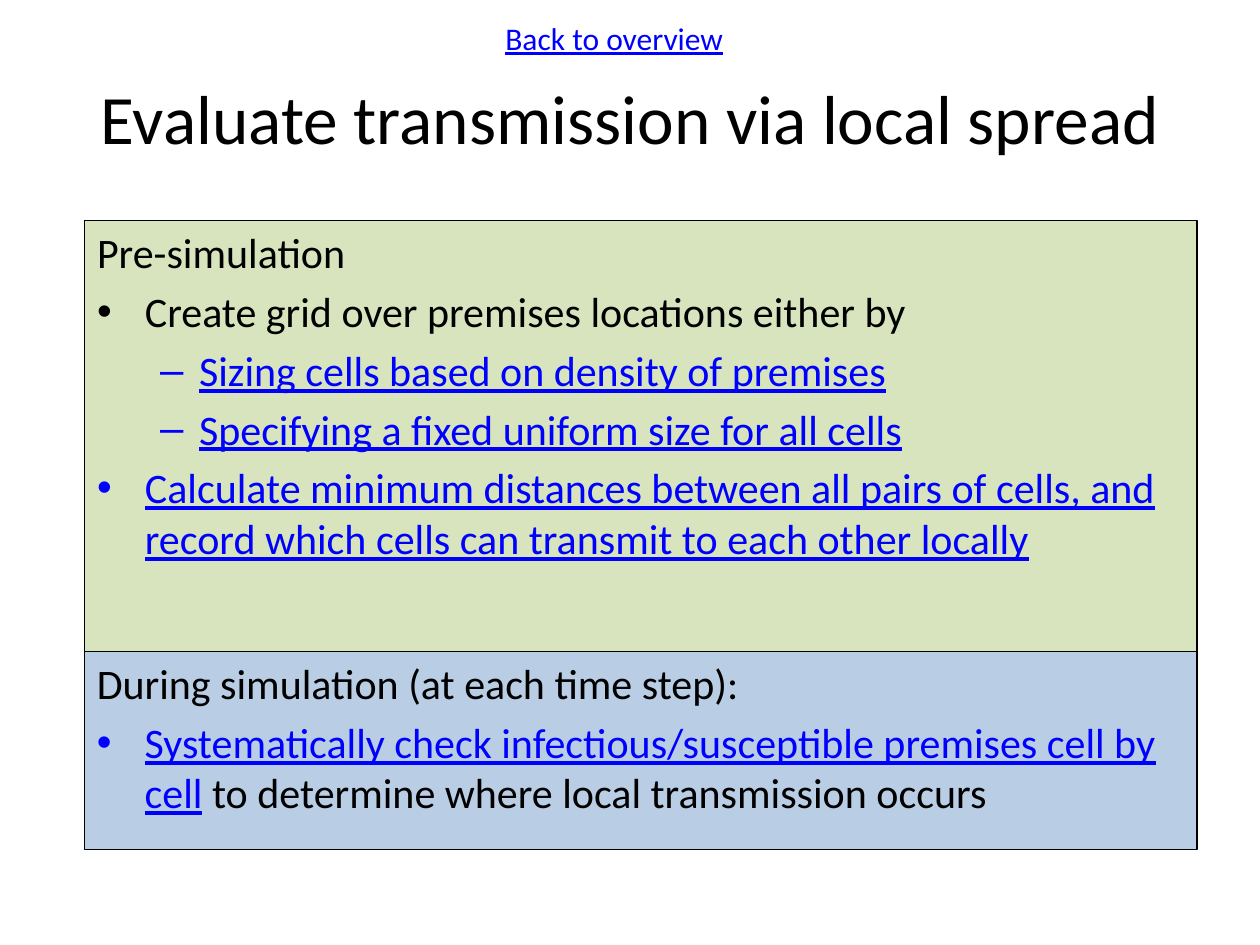
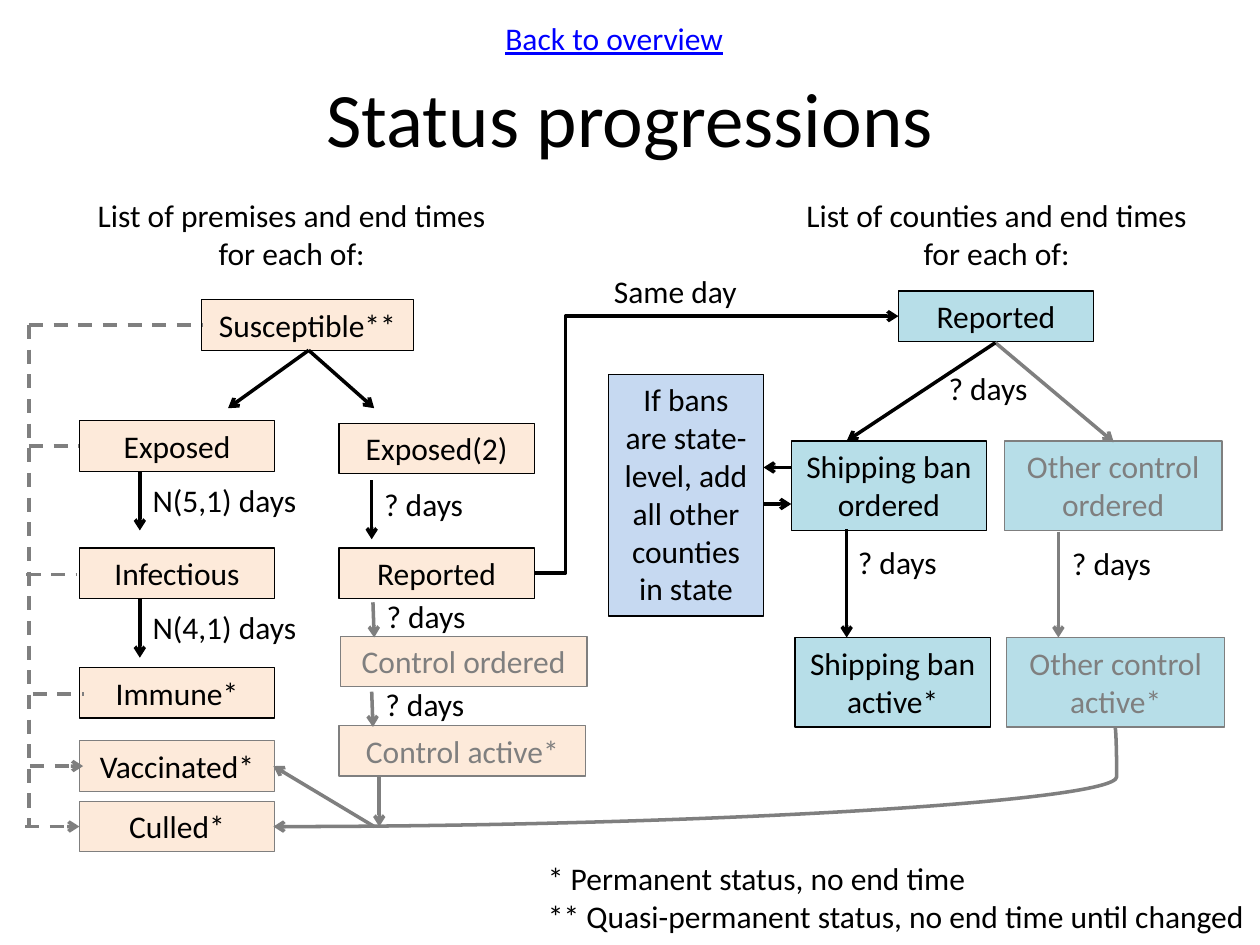
from pptx import Presentation
from pptx.dml.color import RGBColor
from pptx.enum.dml import MSO_LINE
from pptx.enum.shapes import MSO_CONNECTOR as CONN, MSO_SHAPE
from pptx.enum.text import MSO_ANCHOR as ANCHOR, MSO_AUTO_SIZE as FIT, PP_ALIGN as ALIGN
from pptx.oxml.ns import qn
from pptx.util import Inches, Pt
from lxml.etree import SubElement

FONT = "Calibri"
BLACK, GREY, LINK = "000000", "7F7F7F", "0000FF"
GREEN, BLUE, PEACH, TEAL, PALE = "D7E4BD", "B9CDE5", "FDEADA", "B7DEE8", "C6D9F1"

# Bullet character, left margin and hanging indent by list level
BULLETS = {0: ("•", 0.38, -0.38), 1: ("–", 0.81, -0.31)}


def rgb(value):
    return RGBColor.from_string(value)


def set_all(obj, values):
    for name, value in values.items():
        setattr(obj, name, value)


def place(sp, x, y, w, h):
    set_all(sp, dict(left=Inches(x), top=Inches(y), width=Inches(w), height=Inches(h)))


def add_run(p, text, size, color=BLACK):
    r = p.add_run()
    r.text = text
    set_all(r.font, dict(name=FONT, size=Pt(size), underline=color == LINK))
    r.font.color.rgb = rgb(color)


def paint(sp, fill, line):
    sp.fill.solid()
    sp.fill.fore_color.rgb = rgb(fill)
    sp.line.color.rgb = rgb(line)
    sp.line.width = Pt(0.75)


def write(sp, lines, color=BLACK, align=ALIGN.CENTER):
    """Fill a shape with plain 18 pt paragraphs."""
    tf = sp.text_frame
    set_all(tf, dict(word_wrap=True, auto_size=FIT.SHAPE_TO_FIT_TEXT,
                     vertical_anchor=ANCHOR.TOP))
    for i, line in enumerate(lines):
        p = tf.add_paragraph() if i else tf.paragraphs[0]
        p.alignment = align
        add_run(p, line, 18, color)


def label(s, text, x, y, w=1.4, h=0.4, **style):
    sp = s.shapes.add_textbox(Inches(x), Inches(y), Inches(w), Inches(h))
    write(sp, text.split("\n"), **style)


def rectangle(s, x, y, w, h):
    sp = s.shapes.add_shape(MSO_SHAPE.RECTANGLE, Inches(x), Inches(y), Inches(w), Inches(h))
    sp.shadow.inherit = False
    return sp


def box(s, text, x, y, w=1.55, h=0.4, fill=PEACH, line=BLACK, color=BLACK):
    sp = rectangle(s, x, y, w, h)
    paint(sp, fill, line)
    write(sp, [text], color)


def connect(s, start, end, color=BLACK, arrow=True, dash=False,
            kind=CONN.STRAIGHT, adjust=None):
    c = s.shapes.add_connector(kind, *(Inches(v) for v in (*start, *end)))
    c.line.color.rgb = rgb(color)
    c.line.width = Pt(2)
    if dash:
        c.line.dash_style = MSO_LINE.DASH
    pr = c.element.spPr
    if arrow:
        SubElement(pr.find(qn("a:ln")), qn("a:tailEnd"), type="arrow")
    if adjust is not None:
        geom = pr.find(qn("a:prstGeom"))
        av = geom.find(qn("a:avLst"))
        if av is None:
            av = SubElement(geom, qn("a:avLst"))
        SubElement(av, qn("a:gd"), name="adj1", fmla=f"val {adjust}")
    SubElement(pr, qn("a:effectLst"))


def outline(sp, items):
    """Fill a panel with (level, runs); level None is an unbulleted heading."""
    tf = sp.text_frame
    set_all(tf, dict(word_wrap=True, auto_size=FIT.NONE, vertical_anchor=ANCHOR.TOP))
    for i, (level, runs) in enumerate(items):
        p = tf.add_paragraph() if i else tf.paragraphs[0]
        set_all(p, dict(level=level or 0, alignment=ALIGN.LEFT, space_before=Pt(4.8)))
        for text, color in runs:
            add_run(p, text, 24, color)
        ppr = p._p.get_or_add_pPr()
        char, margin, indent = BULLETS.get(level, (None, 0, 0))
        ppr.set("marL", str(Inches(margin)))
        ppr.set("indent", str(Inches(indent)))
        if char:
            SubElement(ppr, qn("a:buFont"), typeface="Arial")
            SubElement(ppr, qn("a:buChar"), char=char)
        else:
            SubElement(ppr, qn("a:buNone"))


def new_slide(prs, layout, title, size):
    """Slide with the shared title style and the line above it."""
    s = prs.slides.add_slide(prs.slide_layouts[layout])
    sp = s.shapes.title
    place(sp, 0.5, 0.3, 9, 1.25)
    set_all(sp.text_frame, dict(word_wrap=True, auto_size=FIT.NONE,
                                vertical_anchor=ANCHOR.MIDDLE))
    p = sp.text_frame.paragraphs[0]
    p.alignment = ALIGN.CENTER
    add_run(p, title, size)
    label(s, "Back to overview", 0.73, 0.1, 8.29, color=LINK)
    return s


def local_spread(prs):
    s = new_slide(prs, 1, "Evaluate transmission via local spread", 39.6)
    body = s.placeholders[1]
    place(body, 0.67, 1.75, 8.83, 3.42)
    paint(body, GREEN, BLACK)
    outline(body, [
        (None, [("Pre-simulation", BLACK)]),
        (0, [("Create grid over premises locations either by", BLACK)]),
        (1, [("Sizing cells based on density of premises", LINK)]),
        (1, [("Specifying a fixed uniform size for all cells", LINK)]),
        (0, [("Calculate minimum distances between all pairs of cells, and "
              "record which cells can transmit to each other locally", LINK)]),
    ])
    during = rectangle(s, 0.67, 5.17, 8.83, 1.57)
    paint(during, BLUE, BLACK)
    outline(during, [
        (None, [("During simulation (at each time step):", BLACK)]),
        (0, [("Systematically check infectious/susceptible premises cell by cell", LINK),
             (" to determine where local transmission occurs", BLACK)]),
    ])


def premises(s):
    label(s, "List of premises and end times for each of:", 0.54, 1.51, 3.55, 0.71)
    # Statuses
    box(s, "Susceptible**", 1.6, 2.38, 1.68)
    for text, y, line in (("Exposed", 3.34, BLACK), ("Infectious", 4.35, BLACK),
                          ("Immune*", 5.3, BLACK), ("Vaccinated*", 5.88, GREY),
                          ("Culled*", 6.36, GREY)):
        box(s, text, 0.63, y, line=line)
    box(s, "Exposed(2)", 2.69, 3.36)
    box(s, "Reported", 2.69, 4.35)
    box(s, "Control ordered", 2.7, 5.05, 1.96, line=GREY, color=GREY)
    box(s, "Control active*", 2.69, 5.76, 1.96, line=GREY, color=GREY)
    # Progressions
    for x in (1.81, 2.97):
        connect(s, (2.45, 2.78), (x, 3.24))
    for x, y in ((1.11, 3.74), (1.11, 4.75), (2.95, 3.81)):
        connect(s, (x, y), (x, y + 0.47))
    for x, y in ((2.96, 4.78), (2.95, 5.49)):
        connect(s, (x, y), (x + 0.01, y + 0.28), GREY)
    connect(s, (3.01, 6.17), (3.01, 6.56), GREY)
    connect(s, (2.97, 6.56), (2.17, 6.08), GREY)
    # Durations
    for text, x, y in (("N(5,1) days ", 1.11, 3.77), ("N(4,1) days ", 1.11, 4.78),
                       ("? days ", 2.69, 3.8), ("? days ", 2.71, 4.69),
                       ("? days ", 2.7, 5.39)):
        label(s, text, x, y)
    # Dashed trunk with branches to the statuses
    connect(s, (0.23, 2.58), (0.23, 6.56), GREY, arrow=False, dash=True)
    for x1, x2, y, arrow in ((0.23, 1.6, 2.58, False), (0.23, 0.63, 3.54, False),
                             (0.21, 0.61, 4.56, False), (0.26, 0.67, 5.51, False),
                             (0.24, 0.66, 6.08, True), (0.2, 0.63, 6.56, True)):
        connect(s, (x1, y), (x2, y), GREY, arrow, dash=True)


def counties(s):
    label(s, "List of counties and end times for each of:", 6.28, 1.51, 3.26, 0.71)
    # Statuses
    box(s, "Reported", 7.13, 2.31, fill=TEAL)
    for step, y, x1, x2 in (("ordered", 3.5, 6.28, 7.97), ("active*", 5.06, 6.31, 7.99)):
        box(s, f"Shipping ban {step}", x1, y, h=0.71, fill=TEAL)
        box(s, f"Other control {step}", x2, y, 1.73, 0.71, TEAL, GREY, GREY)
    box(s, "If bans are state-level, add all other counties in state",
        4.83, 2.97, 1.23, 1.92, PALE)
    # Progressions
    connect(s, (7.9, 2.72), (8.84, 3.51), GREY)
    connect(s, (7.9, 2.72), (6.72, 3.5))
    connect(s, (6.72, 4.2), (6.72, 5.06))
    connect(s, (8.4, 4.22), (8.4, 5.06), GREY)
    connect(s, (6.28, 3.71), (6.06, 3.71))
    connect(s, (6.06, 4), (6.28, 4))
    for x, y in ((7.17, 2.88), (6.45, 4.26), (8.15, 4.27)):
        label(s, "? days ", x, y)


def status_progressions(prs):
    s = new_slide(prs, 5, "Status progressions", 44)
    premises(s)
    counties(s)
    # Links between premises and counties
    connect(s, (4.24, 4.55), (7.13, 2.51), kind=CONN.ELBOW, adjust=8600)
    connect(s, (8.85, 5.77), (2.17, 6.56), GREY, kind=CONN.CURVE, adjust=-200)
    label(s, "Same day", 4.66, 2.11)
    label(s, "* Permanent status, no end time\n"
             "** Quasi-permanent status, no end time until changed ",
          4.25, 6.77, 5.75, 0.71, align=ALIGN.LEFT)


def main():
    prs = Presentation()
    set_all(prs, dict(slide_width=Inches(10), slide_height=Inches(7.5)))
    local_spread(prs)
    status_progressions(prs)
    prs.save("out.pptx")


main()
